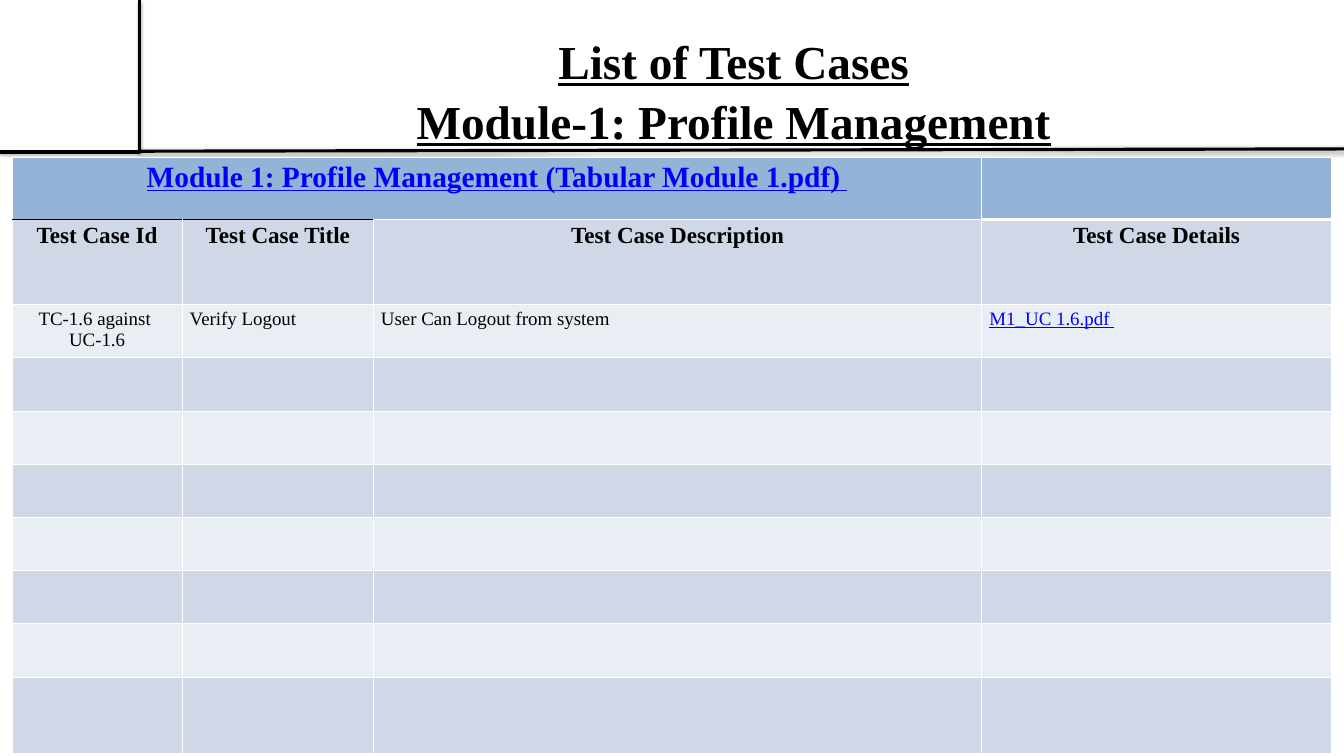
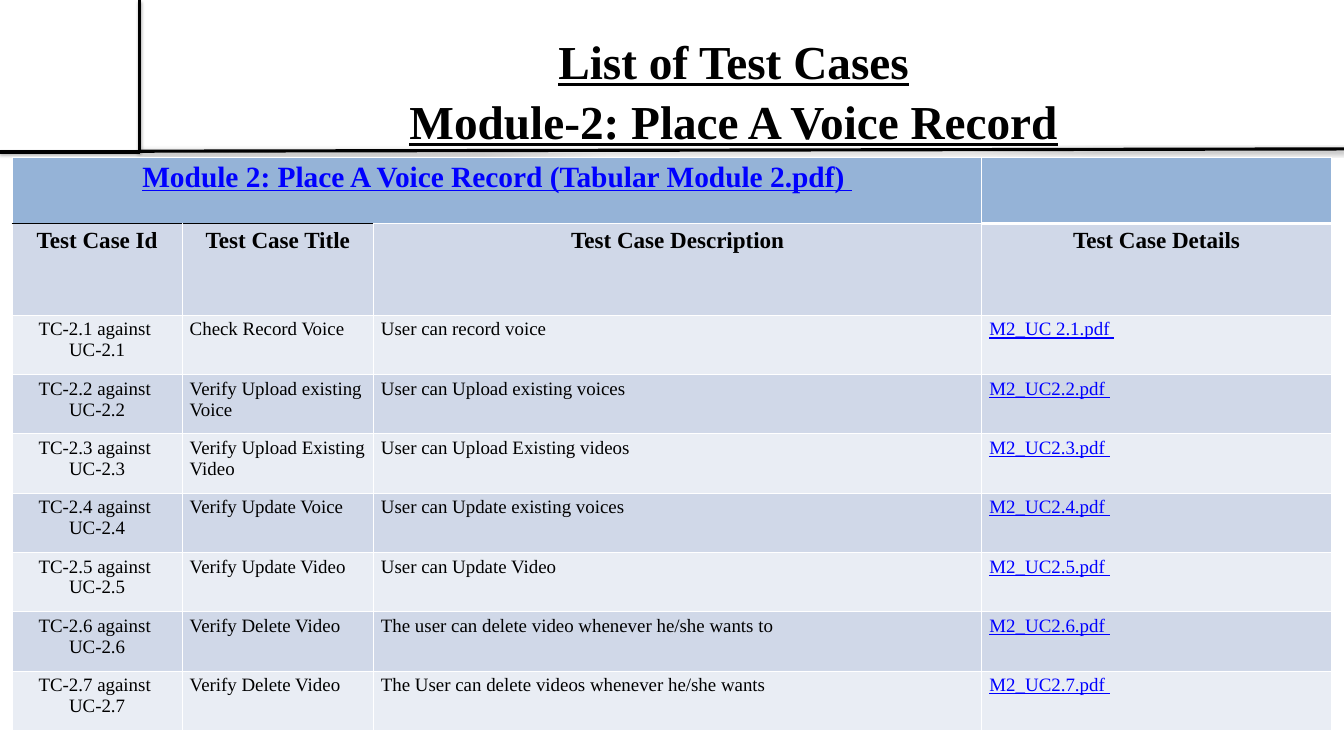
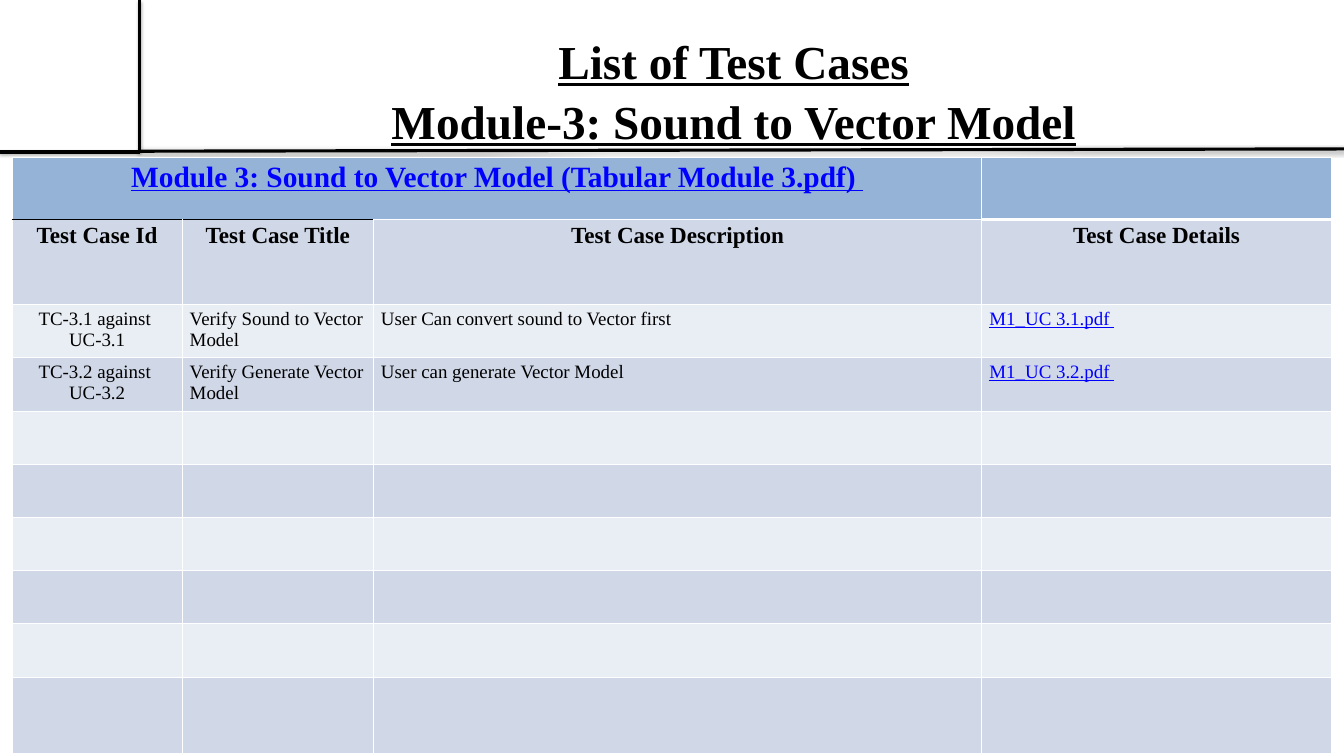
from dataclasses import dataclass

from lxml.etree import SubElement
from pptx import Presentation
from pptx.dml.color import RGBColor
from pptx.enum.shapes import MSO_CONNECTOR
from pptx.enum.text import MSO_ANCHOR, PP_ALIGN
from pptx.oxml.ns import qn
from pptx.util import Inches, Pt


@dataclass(frozen=True)
class Theme:
    font: str = "Times New Roman"
    ink: str = "000000"
    link: str = "0000FF"
    grid: str = "FFFFFF"
    module_band: str = "95B3D7"
    odd_row: str = "D0D8E8"
    even_row: str = "E9EDF4"
    title_size: int = 45
    module_size: int = 28
    header_size: int = 22
    body_size: int = 18
    frame_width: int = 3


FRAME_LINES = [(1.85, 0, 1.85, 2.01), (0, 2.01, 1.85, 2.01), (1.85, 2, 17.78, 1.97)]
COLUMN_WIDTHS = [2.25, 2.53, 8.05, 4.62]
HEADERS = ["Test Case Id", "Test Case Title", "Test Case Description", "Test Case Details"]
CASE_ROWS = 7

MODULES = [
    {
        "name": "Profile Management",
        "cases": [("1.6", "Verify Logout", "User Can Logout from system", "M1_UC 1.6.pdf ")],
        "height": 7.89, "top_rows": [0.82, 1.13], "last_row": [1.01],
    },
    {
        "name": "Place A Voice Record",
        "cases": [
            ("2.1", "Check Record Voice", "User can record voice", "M2_UC 2.1.pdf "),
            ("2.2", "Verify Upload existing Voice", "User can Upload existing voices", "M2_UC2.2.pdf "),
            ("2.3", "Verify Upload Existing Video", "User can Upload Existing videos", "M2_UC2.3.pdf "),
            ("2.4", "Verify Update Voice", "User can Update existing voices", "M2_UC2.4.pdf "),
            ("2.5", "Verify Update Video", "User can Update Video", "M2_UC2.5.pdf "),
            ("2.6", "Verify Delete Video", "The user can delete video whenever he/she wants to", "M2_UC2.6.pdf "),
            ("2.7", "Verify Delete Video", "The User can delete videos whenever he/she wants", "M2_UC2.7.pdf "),
        ],
        "height": 7.58, "top_rows": [0.88, 1.21], "last_row": [],
    },
    {
        "name": "Sound to Vector Model",
        "cases": [
            ("3.1", "Verify Sound to Vector Model", "User Can convert sound to Vector first", "M1_UC 3.1.pdf "),
            ("3.2", "Verify Generate Vector Model", "User can generate Vector Model", "M1_UC 3.2.pdf "),
        ],
        "height": 7.89, "top_rows": [0.82, 1.13], "last_row": [1.01],
    },
]


class Deck:
    def __init__(self, theme):
        self.theme = theme
        self.presentation = Presentation()
        self.presentation.slide_width = Inches(17.78)
        self.presentation.slide_height = Inches(10)
        self.slide = None

    def new_slide(self):
        self.slide = self.presentation.slides.add_slide(self.presentation.slide_layouts[6])
        for ends in FRAME_LINES:
            self.frame_line(*ends)

    def frame_line(self, *ends):
        rule = self.slide.shapes.add_connector(MSO_CONNECTOR.STRAIGHT, *map(Inches, ends))
        rule.line.color.rgb = RGBColor.from_string(self.theme.ink)
        rule.line.width = Pt(self.theme.frame_width)
        effects = SubElement(rule._element.spPr, qn("a:effectLst"))
        shadow = SubElement(effects, qn("a:outerShdw"), blurRad=str(Pt(3.1)),
                            dist=str(Pt(1.8)), dir="5400000", rotWithShape="0")
        color = SubElement(shadow, qn("a:srgbClr"), val=self.theme.ink)
        SubElement(color, qn("a:alpha"), val="35000")

    def set_text(self, frame, text, size, align, color=None, bold=False, underline=False):
        frame.text = text
        for paragraph in frame.paragraphs:
            paragraph.alignment = align
            font = paragraph.font
            font.name = self.theme.font
            font.size = Pt(size)
            font.bold = bold
            font.underline = underline
            font.color.rgb = RGBColor.from_string(color or self.theme.ink)

    def title(self, text):
        box = self.slide.shapes.add_textbox(Inches(2.94), Inches(0.33), Inches(13.53), Inches(1.25))
        frame = box.text_frame
        frame.word_wrap = True
        frame.vertical_anchor = MSO_ANCHOR.TOP
        frame.margin_left = frame.margin_right = Inches(0.11)
        frame.margin_top = frame.margin_bottom = Inches(0.06)
        self.set_text(frame, text, self.theme.title_size, PP_ALIGN.CENTER, bold=True, underline=True)
        frame.paragraphs[0].line_spacing = 1.05

    def border(self, cell, side, color, width):
        line = SubElement(cell._tc.get_or_add_tcPr(), qn(f"a:ln{side}"), w=str(Pt(width)))
        fill = SubElement(line, qn("a:solidFill"))
        SubElement(fill, qn("a:srgbClr"), val=color)

    def style_cell(self, cell, row, column):
        theme = self.theme
        plain = (theme.grid, 1)
        below_module = [(theme.ink, 1), (theme.ink, 1), plain, (theme.grid, 3)][column]
        edges = {"L": plain, "R": plain,
                 "T": below_module if row == 1 else plain,
                 "B": below_module if row == 0 else plain}
        for side, (color, width) in edges.items():
            self.border(cell, side, color, width)
        band = theme.module_band if row == 0 else theme.odd_row if row % 2 else theme.even_row
        cell.fill.solid()
        cell.fill.fore_color.rgb = RGBColor.from_string(band)

    def case_table(self, heading, cases, height, top_rows, last_row):
        theme = self.theme
        case_height = (height - sum(top_rows) - sum(last_row)) / CASE_ROWS
        row_heights = top_rows + [case_height] * CASE_ROWS + last_row
        table = self.slide.shapes.add_table(
            len(row_heights), len(COLUMN_WIDTHS), Inches(0.16), Inches(2.08),
            Inches(sum(COLUMN_WIDTHS)), Inches(height)).table
        table.first_row = table.horz_banding = False
        for column, width in zip(table.columns, COLUMN_WIDTHS):
            column.width = Inches(width)
        for row, row_height in enumerate(row_heights):
            table.rows[row].height = Inches(row_height)
            for column in range(len(COLUMN_WIDTHS)):
                self.style_cell(table.cell(row, column), row, column)

        module_cell = table.cell(0, 0)
        module_cell.merge(table.cell(0, 2))
        self.set_text(module_cell.text_frame, heading, theme.module_size, PP_ALIGN.CENTER,
                      theme.link, bold=True, underline=True)
        for column, header in enumerate(HEADERS):
            self.set_text(table.cell(1, column).text_frame, header, theme.header_size,
                          PP_ALIGN.CENTER, bold=True)
        for row, (number, name, description, details) in enumerate(cases, start=2):
            frames = [table.cell(row, column).text_frame for column in range(len(HEADERS))]
            size = theme.body_size
            self.set_text(frames[0], f"TC-{number} against \nUC-{number}", size, PP_ALIGN.CENTER)
            self.set_text(frames[1], name, size, PP_ALIGN.LEFT)
            self.set_text(frames[2], description, size, PP_ALIGN.JUSTIFY)
            self.set_text(frames[3], details, size, PP_ALIGN.JUSTIFY, theme.link, underline=True)


def main():
    deck = Deck(Theme())
    for number, module in enumerate(MODULES, start=1):
        name = module["name"]
        deck.new_slide()
        deck.title(f"List of Test Cases\vModule-{number}: {name}")
        deck.case_table(f"Module {number}: {name} (Tabular Module {number}.pdf) ",
                        module["cases"], module["height"], module["top_rows"], module["last_row"])
    deck.presentation.save("out.pptx")


if __name__ == "__main__":
    main()
